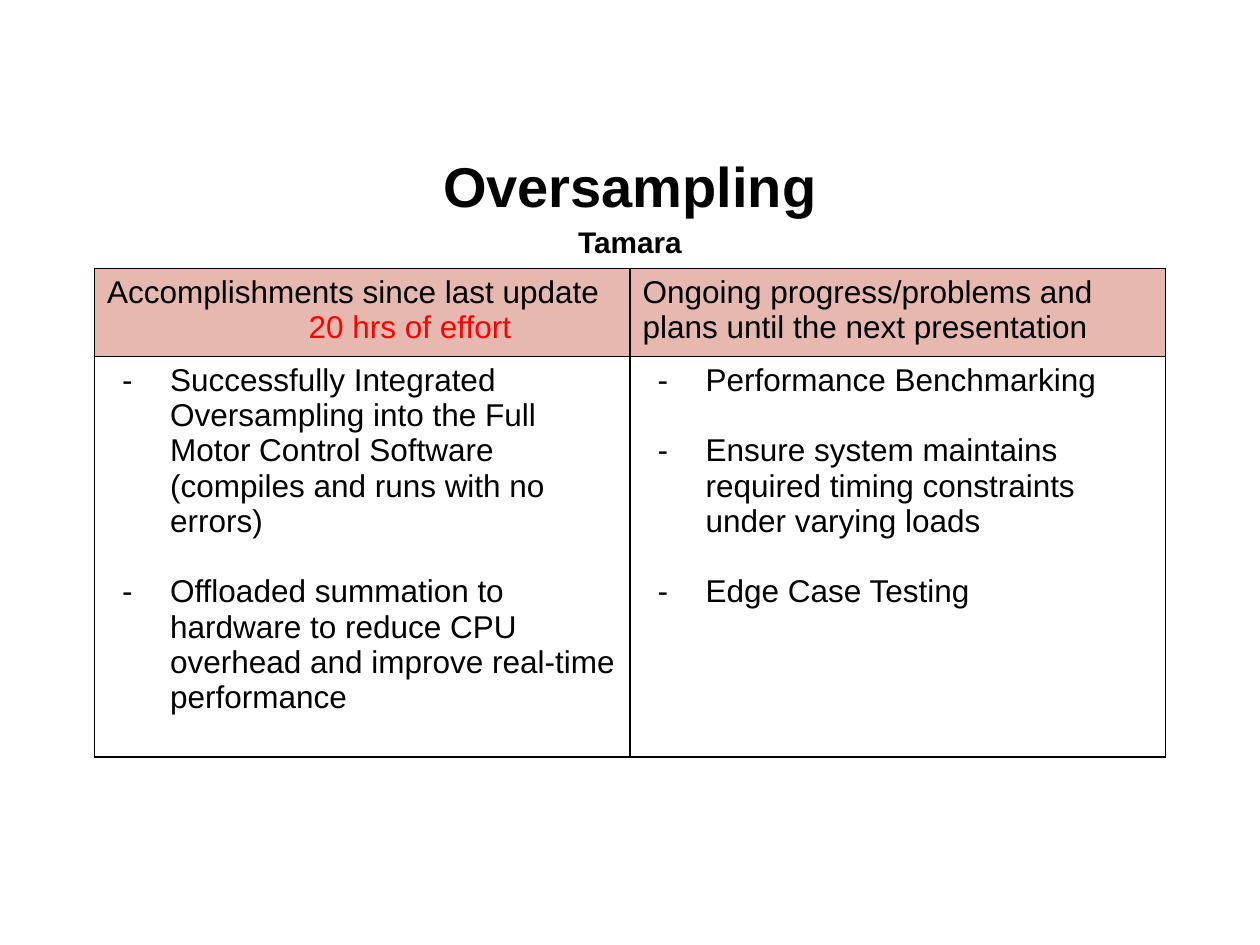
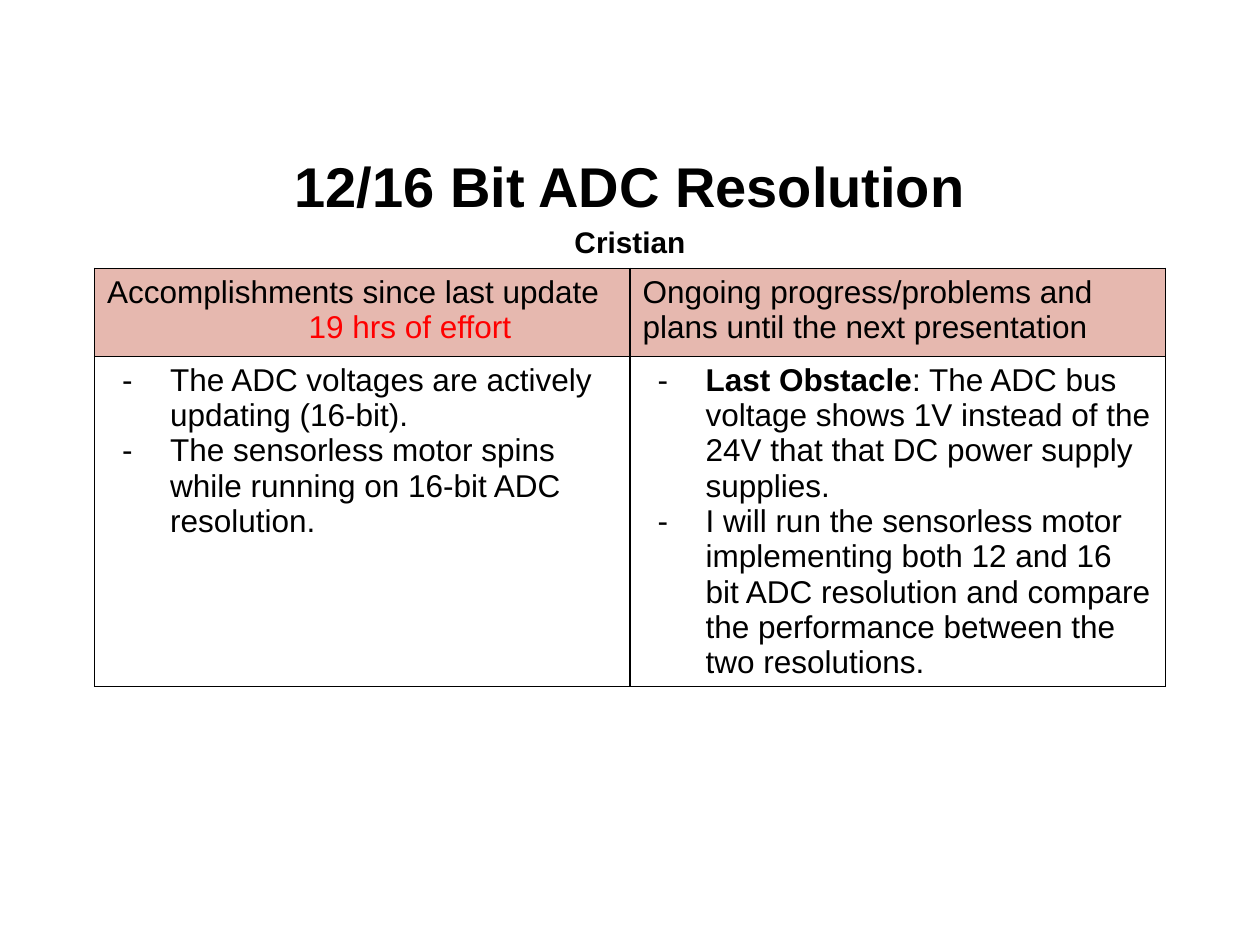
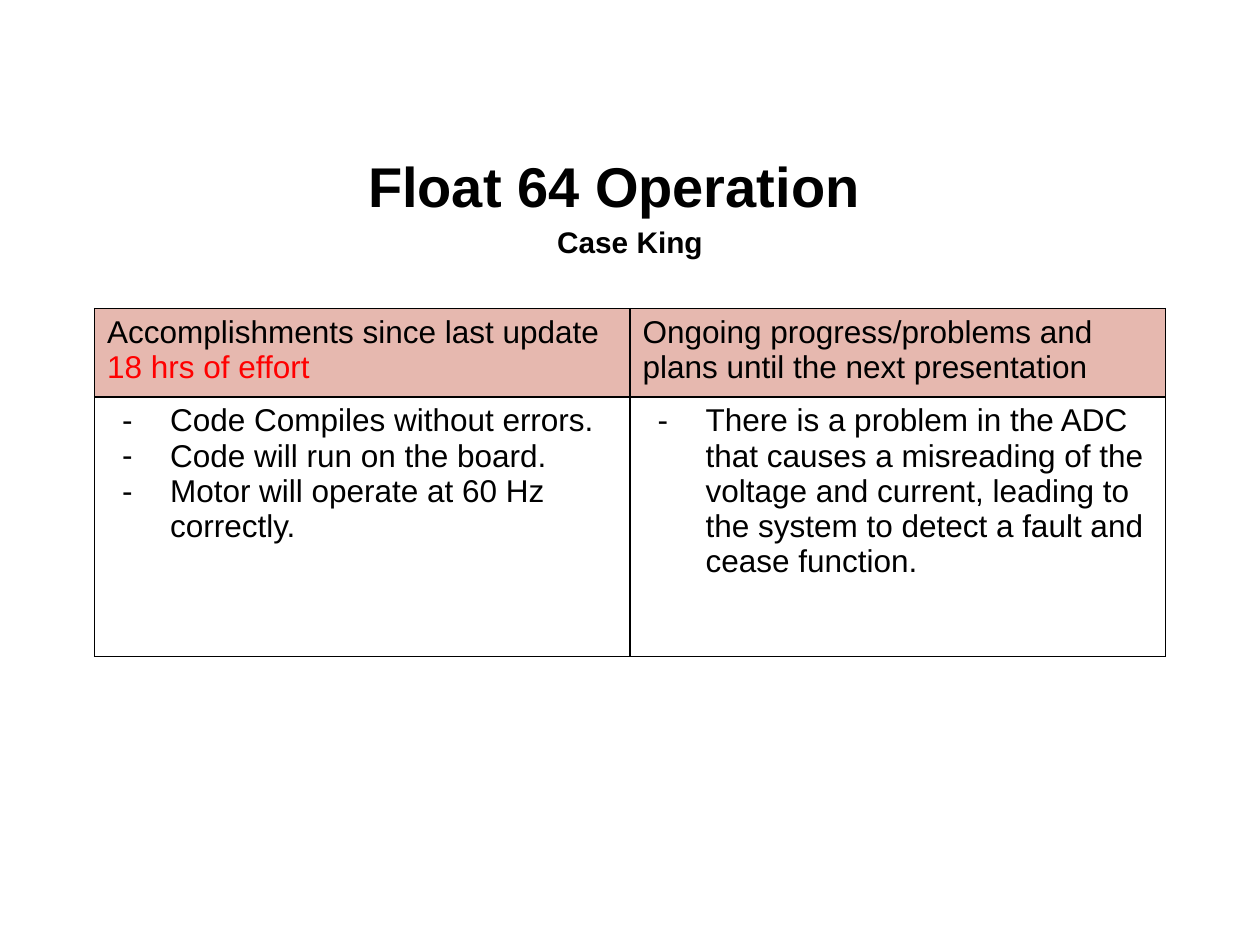
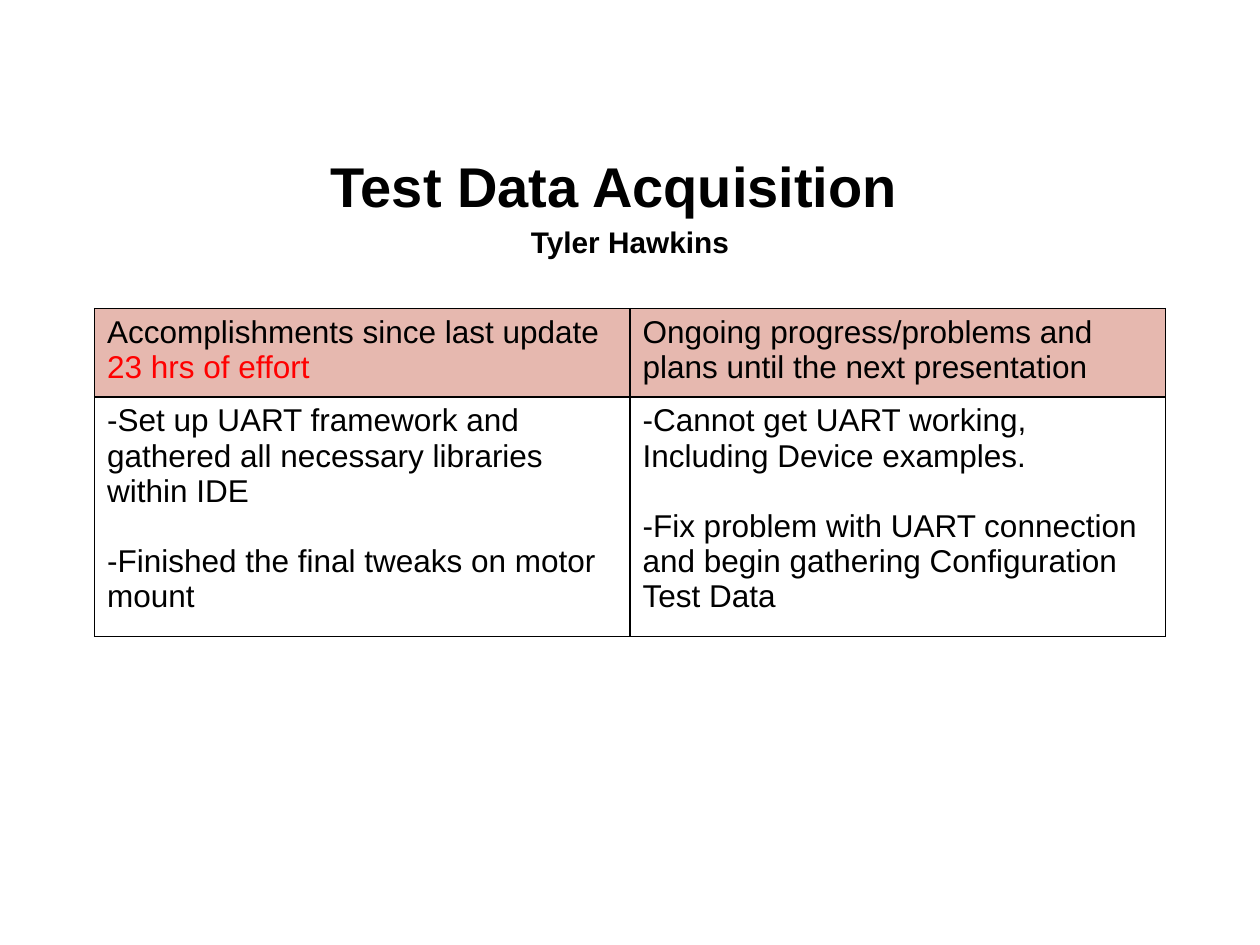
"""Build four project status slides, each with a title and a two-column update table."""
from lxml import etree
from pptx import Presentation
from pptx.dml.color import RGBColor
from pptx.enum import text as t
from pptx.oxml import ns
from pptx.util import Inches, Pt

BLACK = RGBColor(0x00, 0x00, 0x00)
RED = RGBColor(0xFF, 0x00, 0x00)
ROSE = RGBColor(0xE6, 0xB8, 0xAF)
FONT = "Arial"
TITLE_SIZE, NAME_SIZE, TABLE_SIZE = 32, 17, 18
TABLE_LEFT, COLUMN_WIDTH, HEADER_HEIGHT = 0.75, 4.25, 0.7
BLANK_LINE = 20

DONE_HEADING = "Accomplishments since last update"
NEXT_HEADING = "Ongoing progress/problems and plans until the next presentation"

UPDATES = [
    dict(
        title="Oversampling", name="Tamara", effort="20 hrs of effort",
        effort_indent=1.6, table_top=2.13, body_height=3.18, gap=BLANK_LINE,
        done=["Successfully Integrated Oversampling into the Full Motor Control Software "
              "(compiles and runs with no errors)",
              "Offloaded summation to hardware to reduce CPU overhead and improve "
              "real-time performance"],
        plans=["Performance Benchmarking",
               "Ensure system maintains required timing constraints under varying loads",
               "Edge Case Testing"],
    ),
    dict(
        title="12/16 Bit ADC Resolution", name="Cristian", effort="19 hrs of effort",
        effort_indent=1.6, table_top=2.13, body_height=2.62,
        done=["The ADC voltages are actively updating (16-bit).",
              "The sensorless motor spins while running on 16-bit ADC resolution."],
        plans=[("Last Obstacle", ": The ADC bus voltage shows 1V instead of the 24V that "
                "that DC power supply supplies."),
               "I will run the sensorless motor implementing both 12 and 16 bit ADC "
               "resolution and compare the performance between the two resolutions."],
    ),
    dict(
        title="Float 64 Operation", name="Case King", effort="18 hrs of effort",
        title_shift=0.25, table_top=2.45, body_height=2.06,
        done=["Code Compiles without errors.",
              "Code will run on the board.",
              "Motor will operate at 60 Hz correctly."],
        plans=["There is a problem in the ADC that causes a misreading of the voltage and "
               "current, leading to the system to detect a fault and cease function."],
    ),
    dict(
        title="Test Data Acquisition", name="Tyler Hawkins", effort="23 hrs of effort",
        title_shift=0.25, table_top=2.45, body_height=1.9, gap=BLANK_LINE, bulleted=False,
        done=["-Set up UART framework and gathered all necessary libraries within IDE",
              "-Finished the final tweaks on motor mount"],
        plans=["-Cannot get UART working, Including Device examples.",
               "-Fix problem with UART connection and begin gathering Configuration "
               "Test Data"],
    ),
]


def add_solid_colour(parent, color):
    etree.SubElement(parent, ns.qn("a:srgbClr"), val=str(color))


def write(frame, content, *, first=False, size=TABLE_SIZE, color=BLACK, bold=False,
          align=None, spacing=None, before=0, indent=0, hanging=0, bullet=None):
    """Write one paragraph; a (lead, rest) pair gets a bold lead."""
    para = frame.paragraphs[0] if first else frame.add_paragraph()
    if align is not None:
        para.alignment = align
    if spacing:
        para.line_spacing = spacing
    if before and not first:
        para.space_before = Pt(before)
    properties = para._p.get_or_add_pPr()
    properties.set("marL", str(Inches(indent)))
    properties.set("indent", str(-Inches(hanging)))
    if bullet:
        add_solid_colour(etree.SubElement(properties, ns.qn("a:buClr")), color)
        etree.SubElement(properties, ns.qn("a:buFont"), typeface=FONT)
        etree.SubElement(properties, ns.qn("a:buChar"), char=bullet)
    spans = [(content, bold)] if isinstance(content, str) else zip(content, (True, False))
    for words, heavy in spans:
        span = para.add_run()
        span.text = words
        span.font.name, span.font.size, span.font.bold = FONT, Pt(size), heavy
        span.font.color.rgb = color


def style_cell(cell, fill=None):
    """Give a cell thin black borders and an optional fill."""
    properties = cell._tc.get_or_add_tcPr()
    for side in ("lnL", "lnR", "lnT", "lnB"):
        border = etree.SubElement(properties, ns.qn(f"a:{side}"), w=str(Pt(1)))
        add_solid_colour(etree.SubElement(border, ns.qn("a:solidFill")), BLACK)
    if fill is None:
        cell.fill.background()
    else:
        cell.fill.solid()
        cell.fill.fore_color.rgb = fill


def add_title(page, update):
    box = page.shapes.title
    box.left, box.top, box.width, box.height = map(Inches, (0.5, 1.15, 9, 0.88))
    frame = box.text_frame
    frame.auto_size = t.MSO_AUTO_SIZE.NONE
    frame.word_wrap = True
    frame.vertical_anchor = t.MSO_ANCHOR.MIDDLE
    shift = update.get("title_shift", 0)
    frame.margin_right = Inches(0.1 + shift)
    look = dict(bold=True, align=t.PP_ALIGN.CENTER, spacing=1.15)
    write(frame, update["title"], first=True, size=TITLE_SIZE, **look)
    write(frame, update["name"], size=NAME_SIZE, indent=shift, **look)


def add_update_table(page, update):
    heights = (HEADER_HEIGHT, update["body_height"])
    table = page.shapes.add_table(
        2, 2, Inches(TABLE_LEFT), Inches(update["table_top"]),
        Inches(2 * COLUMN_WIDTH), Inches(sum(heights))).table
    table.first_row = table.horz_banding = False
    for column in table.columns:
        column.width = Inches(COLUMN_WIDTH)
    for row, height, fill in zip(table.rows, heights, (ROSE, None)):
        row.height = Inches(height)
        for cell in row.cells:
            style_cell(cell, fill)

    done_head = table.cell(0, 0).text_frame
    write(done_head, DONE_HEADING, first=True)
    write(done_head, update["effort"], color=RED, indent=update.get("effort_indent", 0))
    write(table.cell(0, 1).text_frame, NEXT_HEADING, first=True)

    look = dict(indent=0.5, hanging=0.38, bullet="-") if update.get("bulleted", True) else {}
    for column, items in enumerate((update["done"], update["plans"])):
        frame = table.cell(1, column).text_frame
        for index, item in enumerate(items):
            write(frame, item, first=index == 0, before=update.get("gap", 0), **look)


def main():
    deck = Presentation()
    deck.slide_width, deck.slide_height = Inches(10), Inches(7.5)
    for update in UPDATES:
        page = deck.slides.add_slide(deck.slide_layouts.get_by_name("Title Only"))
        add_title(page, update)
        add_update_table(page, update)
    deck.save("out.pptx")


if __name__ == "__main__":
    main()
